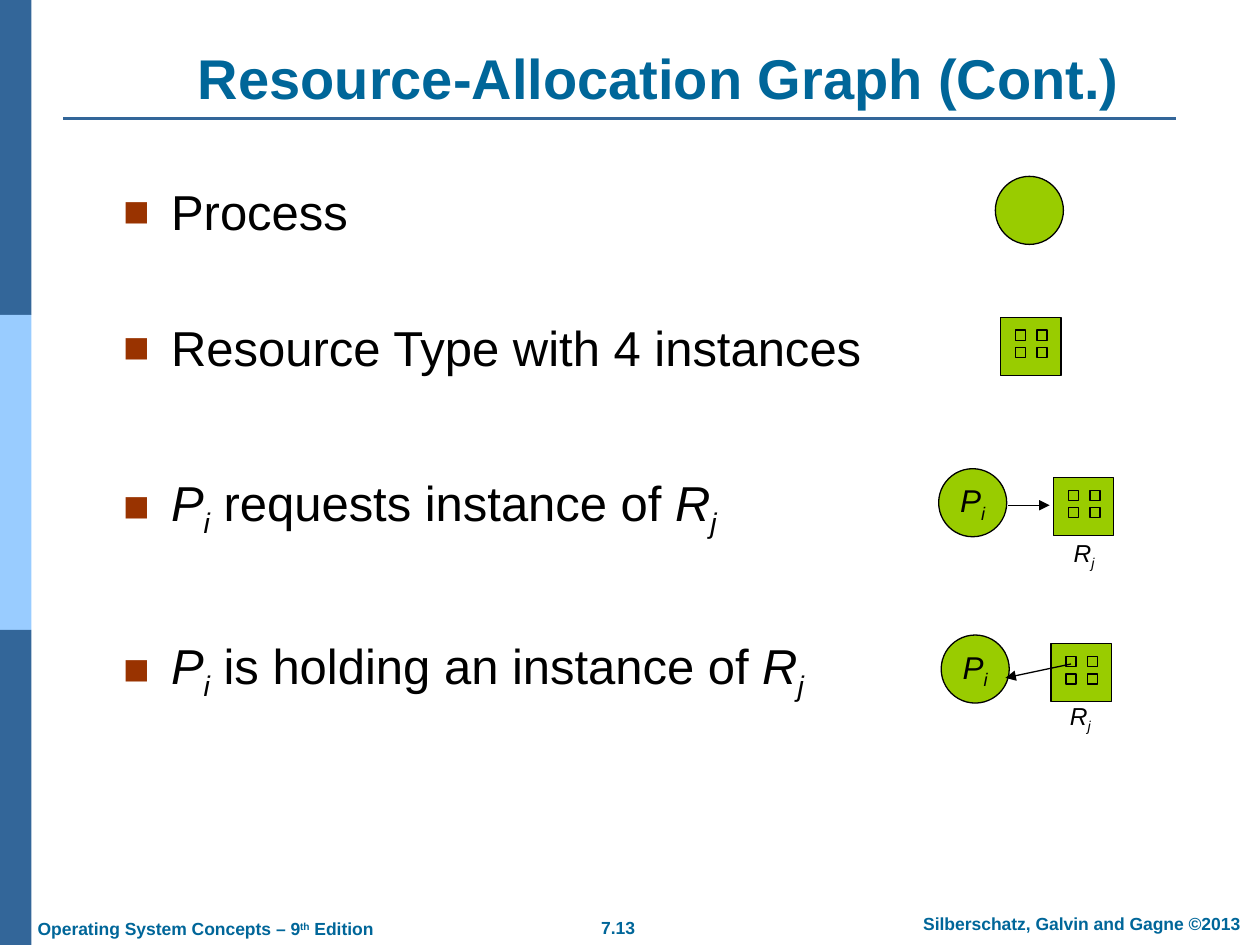
from dataclasses import dataclass
from itertools import product
from typing import NamedTuple

from lxml.etree import SubElement
from pptx import Presentation
from pptx.dml.color import RGBColor as RGB
from pptx.enum.shapes import MSO_CONNECTOR as CONN, MSO_SHAPE as SHAPE
from pptx.enum.text import MSO_ANCHOR as ANCHOR, MSO_AUTO_SIZE as AUTO, PP_ALIGN as ALIGN
from pptx.oxml.ns import qn
from pptx.util import Inches, Pt


@dataclass(frozen=True)
class Theme:
    font: str = "Arial"
    navy: str = "336699"
    sky: str = "99CCFF"
    heading: str = "006699"
    ink: str = "000000"
    bullet: str = "993300"
    node: str = "99CC00"
    title_size: int = 32
    body_size: int = 28
    process_size: int = 18
    resource_size: int = 14
    footer_size: int = 10
    outline: float = 0.75
    rule: float = 1.5


class Box(NamedTuple):
    x: float
    y: float
    w: float
    h: float


class Run(NamedTuple):
    text: str
    italic: bool = False
    baseline: int = 0


class Bullet(NamedTuple):
    runs: list[Run]
    before: int


class Footer(NamedTuple):
    box: Box
    runs: list[Run]
    wrap: bool
    align: ALIGN


class Edge(NamedTuple):
    process: tuple[float, float]
    resource: tuple[float, float]
    arrow: tuple[float, float, float, float]
    label: tuple[float, float]


T = Theme()
P_I = [Run("P", True), Run("i", True, -25)]
R_J = [Run("R", True), Run("j", True, -25)]

BANDS = [T.navy, T.sky, T.navy]
BULLETS = [
    Bullet([Run("Process")], 0),
    Bullet([Run("Resource Type with 4 instances")], 44),
    Bullet([*P_I, Run(" requests instance of "), *R_J], 55),
    Bullet([*P_I, Run(" is holding an instance of "), *R_J], 55),
]
FOOTERS = [
    Footer(Box(4.66, 7.23, 0.49, 0.27), [Run("7.13")], False, ALIGN.CENTER),
    Footer(Box(7.1, 7.2, 2.97, 0.27), [Run("Silberschatz, Galvin and Gagne ©2013")],
           True, ALIGN.CENTER),
    Footer(Box(0.2, 7.24, 2.88, 0.27),
           [Run("Operating System Concepts – 9"), Run("th", baseline=30), Run(" Edition")],
           False, ALIGN.LEFT),
]
EDGES = [
    Edge((7.45, 3.72), (8.36, 3.79), (8, 4.01, 8.33, 4.01), (8.42, 4.24)),
    Edge((7.47, 5.04), (8.34, 5.11), (8.5, 5.27, 7.98, 5.38), (8.39, 5.53)),
]


def apply(obj, values: dict) -> None:
    for name, value in values.items():
        setattr(obj, name, value)


def inches(values) -> list:
    return [Inches(v) for v in values]


def write(p, runs: list[Run], size: int, color: str = T.ink, bold: bool = False) -> None:
    for run in runs:
        r = p.add_run()
        r.text = run.text
        apply(r.font, {"name": T.font, "size": Pt(size), "bold": bold, "italic": run.italic})
        r.font.color.rgb = RGB.from_string(color)
        if run.baseline:
            r._r.get_or_add_rPr().set("baseline", str(run.baseline * 1000))


def add_text(shapes, box: Box, frame: dict):
    tf = shapes.add_textbox(*inches(box)).text_frame
    apply(tf, frame)
    return tf


def add_shape(shapes, kind: SHAPE, box: Box, fill: str, outlined: bool = True):
    sp = shapes.add_shape(kind, *inches(box))
    sp.shadow.inherit = False
    sp.fill.solid()
    sp.fill.fore_color.rgb = RGB.from_string(fill)
    if outlined:
        sp.line.color.rgb = RGB.from_string(T.ink)
        sp.line.width = Pt(T.outline)
    else:
        sp.line.fill.background()
    return sp


def add_line(shapes, ends: tuple, color: str, width: float, arrow: bool = False) -> None:
    c = shapes.add_connector(CONN.STRAIGHT, *inches(ends))
    c.line.color.rgb = RGB.from_string(color)
    c.line.width = Pt(width)
    spPr = c._element.spPr
    if arrow:
        SubElement(spPr.find(qn("a:ln")), qn("a:tailEnd"), type="triangle")
    SubElement(spPr, qn("a:effectLst"))


def add_process(shapes, x: float, y: float, runs: list[Run]) -> None:
    sp = add_shape(shapes, SHAPE.OVAL, Box(x, y, 0.54, 0.54), T.node)
    tf = sp.text_frame
    apply(tf, {"word_wrap": False, "vertical_anchor": ANCHOR.MIDDLE})
    tf.paragraphs[0].alignment = ALIGN.CENTER
    write(tf.paragraphs[0], runs, T.process_size)


def add_resource(shapes, x: float, y: float) -> None:
    add_shape(shapes, SHAPE.RECTANGLE, Box(x, y, 0.48, 0.46), T.node)
    for row, col in product(range(2), repeat=2):
        box = Box(x + 0.12 + 0.17 * col, y + 0.1 + 0.14 * row, 0.08, 0.08)
        add_shape(shapes, SHAPE.RECTANGLE, box, T.node)


def add_edge(shapes, edge: Edge) -> None:
    add_process(shapes, *edge.process, P_I)
    add_resource(shapes, *edge.resource)
    add_line(shapes, edge.arrow, T.ink, T.outline, arrow=True)
    tf = add_text(shapes, Box(*edge.label, 0.37, 0.33), {
        "word_wrap": False, "auto_size": AUTO.SHAPE_TO_FIT_TEXT,
        "vertical_anchor": ANCHOR.MIDDLE})
    tf.paragraphs[0].alignment = ALIGN.CENTER
    write(tf.paragraphs[0], R_J, T.resource_size)


def add_title(s, text: str) -> None:
    sp = s.shapes.title
    apply(sp, dict(zip(("left", "top", "width", "height"), inches((0.96, 0.3, 8.54, 0.63)))))
    tf = sp.text_frame
    apply(tf, {"word_wrap": True, "auto_size": AUTO.NONE, "vertical_anchor": ANCHOR.BOTTOM})
    tf.paragraphs[0].alignment = ALIGN.CENTER
    write(tf.paragraphs[0], [Run(text)], T.title_size, T.heading, bold=True)


def add_bullets(shapes, bullets: list[Bullet]) -> None:
    tf = add_text(shapes, Box(0.88, 1.35, 9, 4.95), {"word_wrap": True, "margin_top": Inches(0.09)})
    for i, bullet in enumerate(bullets):
        p = tf.add_paragraph() if i else tf.paragraphs[0]
        pPr = p._p.get_or_add_pPr()
        pPr.set("marL", str(Inches(0.38)))
        pPr.set("indent", str(-Inches(0.38)))
        SubElement(SubElement(pPr, qn("a:buClr")), qn("a:srgbClr"), val=T.bullet)
        SubElement(pPr, qn("a:buSzPct"), val="90000")
        SubElement(pPr, qn("a:buFont"), typeface=T.font)
        SubElement(pPr, qn("a:buChar"), char="■")
        p.space_before = Pt(bullet.before)
        write(p, bullet.runs, T.body_size)


def main() -> None:
    prs = Presentation()
    apply(prs, {"slide_width": Inches(10), "slide_height": Inches(7.5)})
    s = prs.slides.add_slide(prs.slide_layouts[5])
    for i, color in enumerate(BANDS):
        add_shape(s.shapes, SHAPE.RECTANGLE, Box(0, 2.5 * i, 0.25, 2.5), color, outlined=False)
    add_line(s.shapes, (0.5, 0.94, 9.33, 0.94), T.navy, T.rule)
    for footer in FOOTERS:
        tf = add_text(s.shapes, footer.box, {
            "word_wrap": footer.wrap, "auto_size": AUTO.SHAPE_TO_FIT_TEXT})
        tf.paragraphs[0].alignment = footer.align
        write(tf.paragraphs[0], footer.runs, T.footer_size, T.heading, bold=True)
    add_title(s, "Resource-Allocation Graph (Cont.)")
    add_bullets(s.shapes, BULLETS)
    add_process(s.shapes, 7.9, 1.4, [])
    add_resource(s.shapes.add_group_shape().shapes, 7.94, 2.52)
    for edge in EDGES:
        add_edge(s.shapes.add_group_shape().shapes, edge)
    prs.save("out.pptx")


if __name__ == "__main__":
    main()
